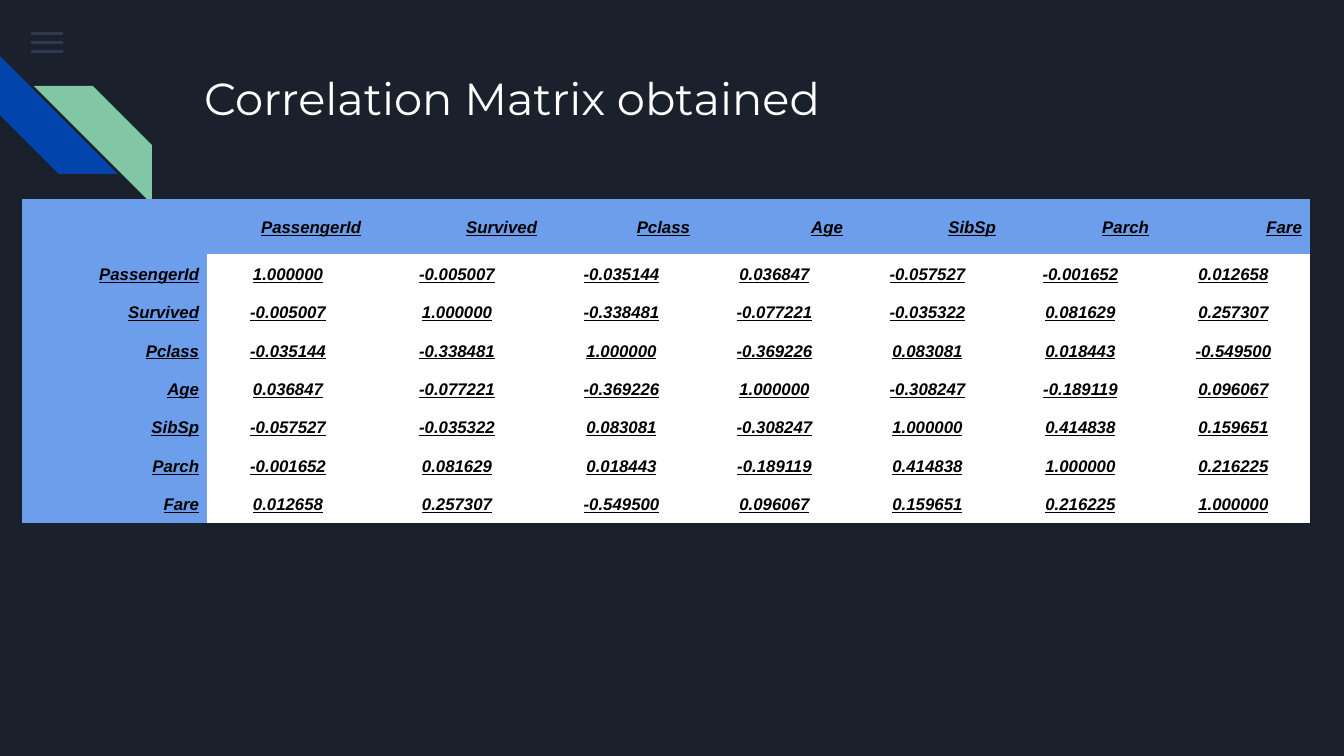
import pptx
import pptx.dml.color
import pptx.enum.shapes
import pptx.enum.text
import pptx.oxml.ns
import pptx.oxml.xmlchemy
import pptx.util
from lxml import etree

RGBColor = pptx.dml.color.RGBColor
MSO_SHAPE = pptx.enum.shapes.MSO_SHAPE
PP_ALIGN = pptx.enum.text.PP_ALIGN
MSO_ANCHOR = pptx.enum.text.MSO_ANCHOR

NAVY = RGBColor(0x1B, 0x21, 0x2C)
SLATE = RGBColor(0x55, 0x68, 0x8B)
BLUE = RGBColor(0x01, 0x45, 0xAC)
GREEN = RGBColor(0x82, 0xC7, 0xA5)
SKY = RGBColor(0x6D, 0x9E, 0xEB)
WHITE = RGBColor(0xFF, 0xFF, 0xFF)
BLACK = RGBColor(0x00, 0x00, 0x00)

PX_PER_INCH = 134.4
NO_STYLE = "{2D5ABB26-0587-4C30-8999-92F81FD0307C}"

VARIABLES = ["PassengerId", "Survived", "Pclass", "Age", "SibSp", "Parch", "Fare"]
# The matrix is symmetric, so only its lower triangle is listed.
CORRELATIONS = [
    ["1.000000"],
    ["-0.005007", "1.000000"],
    ["-0.035144", "-0.338481", "1.000000"],
    ["0.036847", "-0.077221", "-0.369226", "1.000000"],
    ["-0.057527", "-0.035322", "0.083081", "-0.308247", "1.000000"],
    ["-0.001652", "0.081629", "0.018443", "-0.189119", "0.414838", "1.000000"],
    ["0.012658", "0.257307", "-0.549500", "0.096067", "0.159651", "0.216225",
     "1.000000"],
]


def px(length):
    return pptx.util.Emu(round(length * 914400 / PX_PER_INCH))


def add_plain_shape(slide, kind, left, top, width, height, color):
    shape = slide.shapes.add_shape(kind, px(left), px(top), px(width), px(height))
    shape.shadow.inherit = False
    shape.fill.solid()
    shape.fill.fore_color.rgb = color
    shape.line.fill.background()
    return shape


def add_menu_icon(slide, left, top, width):
    for row in range(3):
        bar = add_plain_shape(slide, MSO_SHAPE.RECTANGLE,
                              left, top + 9 * row, width, 3, SLATE)
        color = bar.fill._xPr.find(".//" + pptx.oxml.ns.qn("a:srgbClr"))
        etree.SubElement(color, pptx.oxml.ns.qn("a:alpha"), val="36000")


def add_stripes(slide, left, top, size):
    blue = add_plain_shape(slide, MSO_SHAPE.DIAGONAL_STRIPE,
                           left, top, size, size, BLUE)
    blue.rotation = 270
    green = add_plain_shape(slide, MSO_SHAPE.DIAGONAL_STRIPE,
                            left + 34, top + 30, size, size, GREEN)
    green._element.spPr.xfrm.set("flipH", "1")


def add_title(slide, text, left, top, width, height):
    title = slide.shapes.title
    title.left, title.top = px(left), px(top)
    title.width, title.height = px(width), px(height)
    frame = title.text_frame
    frame.auto_size = pptx.enum.text.MSO_AUTO_SIZE.NONE
    frame.word_wrap = True
    frame.vertical_anchor = MSO_ANCHOR.TOP
    frame.margin_left = frame.margin_right = px(13)
    frame.margin_top = frame.margin_bottom = px(13)
    paragraph = frame.paragraphs[0]
    paragraph.alignment = PP_ALIGN.LEFT
    run = paragraph.add_run()
    run.text = text
    run.font.name = "Montserrat"
    run.font.size = pptx.util.Pt(24)
    run.font.color.rgb = WHITE


def fill_cell(cell, text, is_label):
    cell.fill.solid()
    cell.fill.fore_color.rgb = SKY if is_label else WHITE
    cell.vertical_anchor = MSO_ANCHOR.MIDDLE
    cell.margin_left = cell.margin_right = px(8)
    cell.margin_top = cell.margin_bottom = px(8)
    paragraph = cell.text_frame.paragraphs[0]
    paragraph.alignment = PP_ALIGN.RIGHT if is_label else PP_ALIGN.CENTER
    paragraph.line_spacing = 1.15
    if not text:
        etree.SubElement(paragraph._p, pptx.oxml.ns.qn("a:endParaRPr"), sz="900")
        return
    run = paragraph.add_run()
    run.text = text
    font = run.font
    font.name = "Arial"
    font.size = pptx.util.Pt(9)
    font.bold = font.italic = font.underline = True
    font.color.rgb = BLACK


def add_correlation_table(slide, left, top, column_widths, row_heights):
    table = slide.shapes.add_table(
        len(row_heights), len(column_widths), px(left), px(top),
        px(sum(column_widths)), px(sum(row_heights))).table
    table.first_row = table.horz_banding = False
    table._tbl.tblPr.find(pptx.oxml.ns.qn("a:tableStyleId")).text = NO_STYLE
    for column, width in zip(table.columns, column_widths):
        column.width = px(width)
    for row, height in zip(table.rows, row_heights):
        row.height = px(height)

    fill_cell(table.cell(0, 0), "", True)
    for i, variable in enumerate(VARIABLES):
        fill_cell(table.cell(0, i + 1), variable, True)
        fill_cell(table.cell(i + 1, 0), variable, True)
        for j in range(len(VARIABLES)):
            value = CORRELATIONS[max(i, j)][min(i, j)]
            fill_cell(table.cell(i + 1, j + 1), value, False)


def main():
    presentation = pptx.Presentation()
    presentation.slide_width, presentation.slide_height = px(1344), px(756)
    slide = presentation.slides.add_slide(presentation.slide_layouts[5])
    slide.background.fill.solid()
    slide.background.fill.fore_color.rgb = NAVY

    add_menu_icon(slide, 31, 32, 32)
    add_stripes(slide, 0, 56, 118)
    add_title(slide, "Correlation Matrix obtained", 191, 58, 1035, 134)
    add_correlation_table(slide, 22, 199, [185, 162, 176] + [153] * 5,
                          [55] + [38.4] * len(VARIABLES))
    presentation.save("out.pptx")


if __name__ == "__main__":
    main()
